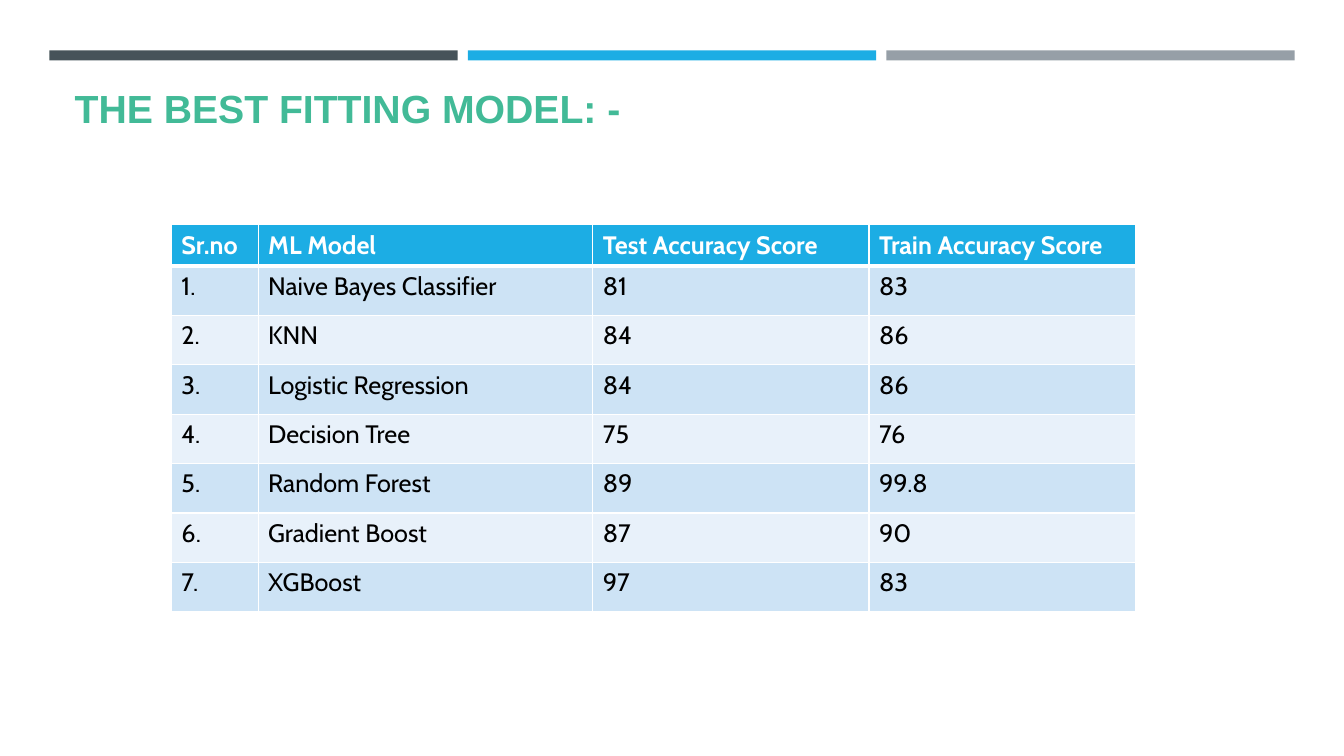
from pptx import Presentation
from pptx.dml.color import RGBColor
from pptx.enum.shapes import MSO_SHAPE as Shape
from pptx.enum.text import MSO_ANCHOR as Anchor, MSO_AUTO_SIZE as Fit, PP_ALIGN as Align
from pptx.oxml import parse_xml
from pptx.oxml.ns import nsdecls
from pptx.util import Pt

PX = 9144  # 100 px to the inch


def paint(color, code):
    color.rgb = RGBColor.from_string(code)


def style(font, code, form):
    for key, value in form.items():
        setattr(font, key, value)
    paint(font.color, code)


deck = Presentation()
deck.slide_width, deck.slide_height = 1333 * PX, 750 * PX
slide = deck.slides.add_slide(deck.slide_layouts[5])

# Three bars along the top
for i, code in enumerate(["465359", "1CADE4", "969FA7"]):
    bar = slide.shapes.add_shape(
        Shape.RECTANGLE, (49 + 415 * i) * PX, 50 * PX, 405 * PX, 10 * PX)
    bar.shadow.inherit = False
    bar.fill.solid()
    paint(bar.fill.fore_color, code)
    bar.line.fill.background()

# Title
title = slide.shapes.title
place = {"left": 64, "top": 77, "width": 1206, "height": 58}
for key, value in place.items():
    setattr(title, key, value * PX)
frame = title.text_frame
frame.text = "THE BEST FITTING MODEL: -"
frame.vertical_anchor, frame.auto_size = Anchor.BOTTOM, Fit.NONE
frame.paragraphs[0].alignment = Align.LEFT
style(frame.paragraphs[0].runs[0].font, "42BA97",
      {"name": "Arial", "size": Pt(28), "bold": True})

# Table of scores
rows = [
    ("Sr.no", "ML Model", "Test Accuracy Score", "Train Accuracy Score"),
    ("1.", "Naive Bayes Classifier", "81", "83"),
    ("2.", "KNN", "84", "86"),
    ("3.", "Logistic Regression", "84", "86"),
    ("4.", "Decision Tree", "75", "76"),
    ("5.", "Random Forest", "89", "99.8"),
    ("6.", "Gradient Boost", "87", "90"),
    ("7.", "XGBoost", "97", "83"),
]
wide = [86, 332, 274, 264]
table = slide.shapes.add_table(
    len(rows), len(wide), 170 * PX, 223 * PX, sum(wide) * PX, 384 * PX).table
for col, width in zip(table.columns, wide):
    col.width = width * PX

for r, row in enumerate(rows):
    head = r == 0
    table.rows[r].height = (41 if head else 49) * PX
    back = "1CADE4" if head else "CDE3F5" if r % 2 else "E8F1FA"
    # White rules, thicker below the header
    rules = {"L": 1, "R": 1, "T": 3 if r == 1 else 1, "B": 3 if head else 1}
    for c, text in enumerate(row):
        cell = table.cell(r, c)
        cell.text = text
        style(cell.text_frame.paragraphs[0].runs[0].font,
              "FFFFFF" if head else "000000",
              {"name": "Cabin", "size": Pt(18), "bold": head})
        props = cell._tc.get_or_add_tcPr()
        for side, size in rules.items():
            props.append(parse_xml(
                f'<a:ln{side} {nsdecls("a")} w="{Pt(size)}"><a:solidFill>'
                f'<a:srgbClr val="FFFFFF"/></a:solidFill></a:ln{side}>'))
        cell.fill.solid()
        paint(cell.fill.fore_color, back)

deck.save("out.pptx")
